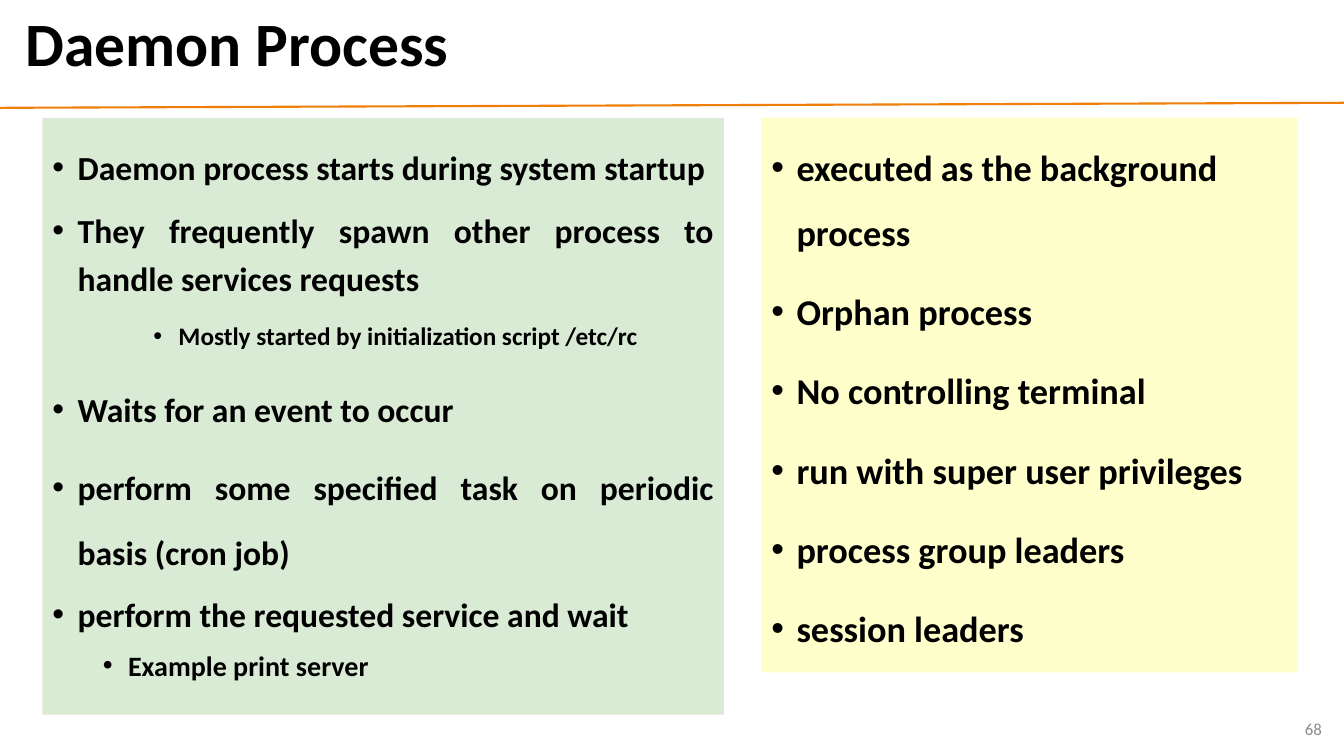
"""Build the Daemon Process slide with two bulleted panels."""
import pptx
import pptx.dml.color
import pptx.enum.shapes
import pptx.enum.text
import pptx.oxml
import pptx.oxml.ns
import pptx.util

Inches = pptx.util.Inches
Pt = pptx.util.Pt
ALIGN = pptx.enum.text.PP_ALIGN
ANCHOR = pptx.enum.text.MSO_ANCHOR
COLORS = {"text": "000000", "number": "8C8C8C", "rule": "F07F09",
          "green": "D9EAD5", "yellow": "FFFFCC"}


def rgb(name):
    return pptx.dml.color.RGBColor.from_string(COLORS[name])


def add_run(p, text, size, color="text", bold=True):
    r = p.add_run()
    r.text = text
    r.font.name = "Calibri"
    r.font.size = Pt(size)
    r.font.bold = bold
    r.font.color.rgb = rgb(color)


prs = pptx.Presentation()
prs.slide_width = Inches(13.33)
prs.slide_height = Inches(7.5)
s = prs.slides.add_slide(prs.slide_layouts[3])

rule = s.shapes.add_connector(pptx.enum.shapes.MSO_CONNECTOR.STRAIGHT,
                              0, Inches(1.07), Inches(13.33), Inches(1.02))
rule.line.color.rgb = rgb("rule")
rule.line.width = Pt(1.5)
pptx.oxml.ns.qn("a:effectLst")
rule._element.spPr.append(pptx.oxml.parse_xml(
    "<a:effectLst %s/>" % pptx.oxml.ns.nsdecls("a")))

title = s.shapes.title
title.left, title.top = Inches(0.15), Inches(0.05)
title.width, title.height = Inches(12.89), Inches(0.83)
tf = title.text_frame
tf.auto_size = pptx.enum.text.MSO_AUTO_SIZE.NONE
tf.vertical_anchor = ANCHOR.MIDDLE
p = tf.paragraphs[0]
p.alignment = ALIGN.LEFT
p.line_spacing = 0.9
add_run(p, "Daemon Process", 44)

starts = [
    ("Daemon process starts during system startup", 0, 24, 1.6),
    ("They frequently spawn other process to handle services requests", 0, 24, 1.2),
    ("Mostly started by initialization script /etc/rc", 2, 18, 1.5),
    ("Waits for an event to occur", 0, 24, 1.6),
    ("perform some specified task on periodic basis (cron job)", 0, 24, 1.6),
    ("perform the requested service and wait", 0, 24, 1.2),
    ("Example print server", 1, 20, 1.2),
]
traits = [(text, 0, 25.9, 1.5) for text in (
    "executed as the background process", "Orphan process",
    "No controlling terminal", "run with super user privileges",
    "process group leaders", "session leaders")]
panels = [
    (1, 0.42, 6.76, 5.92, "green", ALIGN.JUSTIFY, starts),
    (2, 7.55, 5.32, 5.5, "yellow", ALIGN.LEFT, traits),
]
for idx, left, width, height, fill, align, items in panels:
    sp = s.placeholders[idx]
    sp.left, sp.top = Inches(left), Inches(1.17)
    sp.width, sp.height = Inches(width), Inches(height)
    sp.fill.solid()
    sp.fill.fore_color.rgb = rgb(fill)
    tf = sp.text_frame
    tf.auto_size = pptx.enum.text.MSO_AUTO_SIZE.NONE
    tf.vertical_anchor = ANCHOR.TOP
    for i, (text, level, size, spacing) in enumerate(items):
        p = tf.add_paragraph() if i else tf.paragraphs[0]
        pPr = p._p.get_or_add_pPr()
        pPr.set("marL", str(Inches(0.25 + 0.5 * level)))
        pPr.set("indent", str(Inches(-0.25)))
        pPr.append(pptx.oxml.parse_xml(
            '<a:buChar %s char="•"/>' % pptx.oxml.ns.nsdecls("a")))
        p.level = level
        p.alignment = align
        p.line_spacing = spacing
        p.space_before = Pt(0 if i == 0 else 5 if level else 10)
        add_run(p, text, size)

number = s.shapes.add_textbox(Inches(10.21), Inches(7.03), Inches(3), Inches(0.4))
tf = number.text_frame
tf.word_wrap = True
tf.vertical_anchor = ANCHOR.MIDDLE
p = tf.paragraphs[0]
p.alignment = ALIGN.RIGHT
add_run(p, "68", 12, "number", False)

prs.save("out.pptx")
